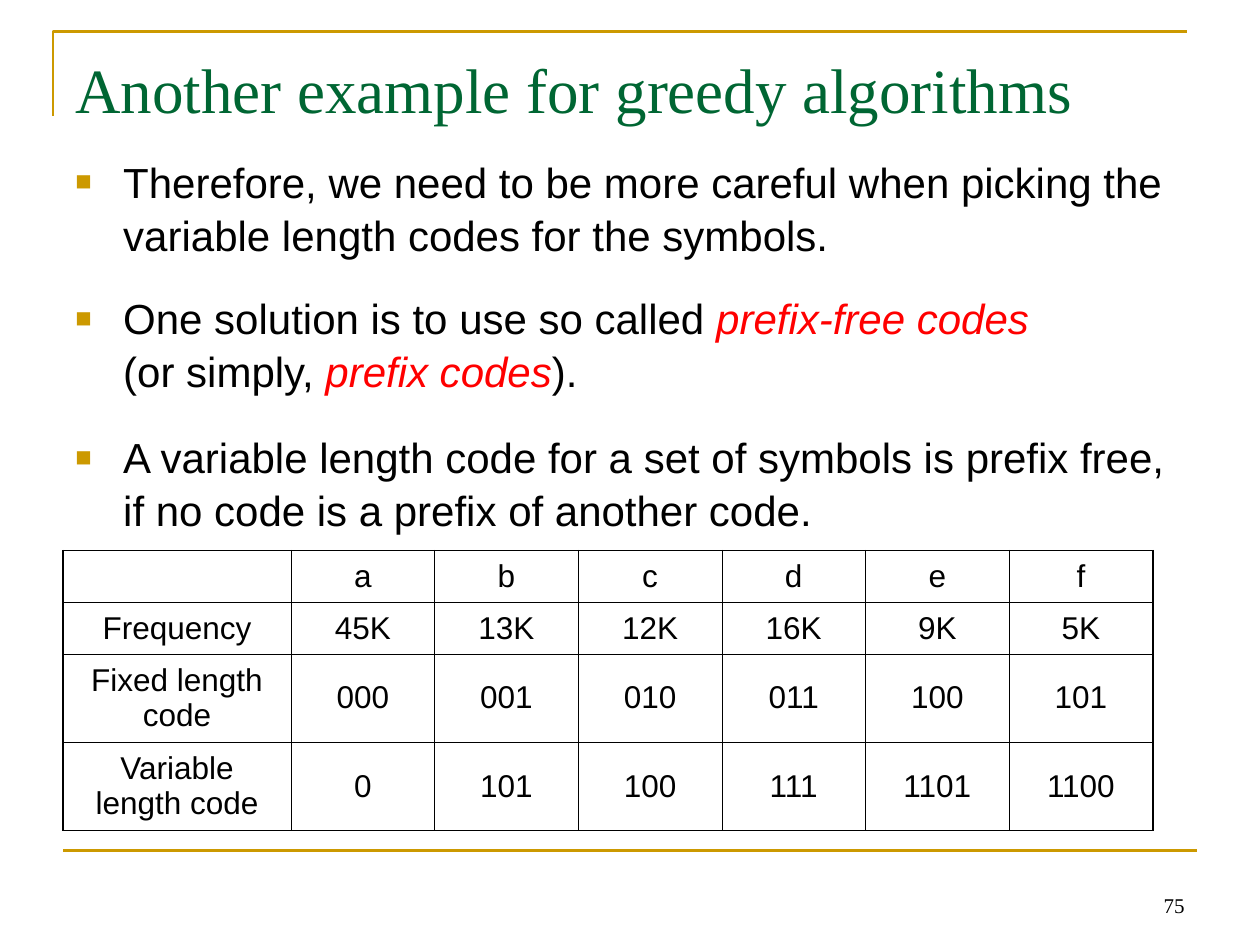
from dataclasses import dataclass
from lxml.etree import SubElement as Sub
from pptx import Presentation
from pptx.dml.color import RGBColor as RGB
from pptx.enum.shapes import MSO_CONNECTOR as Conn
from pptx.enum.text import MSO_ANCHOR as Anchor, PP_ALIGN as Align
from pptx.oxml.ns import qn
from pptx.util import Inches, Pt


@dataclass(frozen=True)
class Theme:
    gold: str = "CC9900"
    green: str = "006633"
    black: str = "000000"
    red: str = "FF0000"
    serif: str = "Times New Roman"
    sans: str = "Arial"
    title: int = 36
    body: int = 24
    cell: int = 18
    num: int = 12
    rule: float = 1.5
    thick: float = 1.08
    thin: float = 0.45


T = Theme()

TITLE = "Another example for greedy algorithms"
PAGE = "75"

# Each bullet: space before in points, then runs; *starred* runs are key terms.
BULLETS = [
    (0, ["Therefore, we need to be more careful when picking the "
         "variable length codes for the symbols."]),
    (17.5, ["One solution is to use so called ", "*prefix-free codes*", "\n",
            "(or simply, ", "*prefix codes*", ")."]),
    (19, ["A variable length code for a set of symbols is prefix free, "
          "if no code is a prefix of another code."]),
]

CODES = [
    ["", "a", "b", "c", "d", "e", "f"],
    ["Frequency", "45K", "13K", "12K", "16K", "9K", "5K"],
    ["Fixed length code", "000", "001", "010", "011", "100", "101"],
    ["Variable length code", "0", "101", "100", "111", "1101", "1100"],
]
WIDTHS = [1.81] + [1.14] * 6
HEIGHTS = [0.41, 0.41, 0.7, 0.7]


def write(para, text, size, font=T.sans, color=T.black, italic=False,
          align=Align.LEFT):
    para.alignment = align
    run = para.add_run()
    run.text = text
    run.font.size = Pt(size)
    run.font.name = font
    run.font.italic = italic
    run.font.color.rgb = RGB.from_string(color)


def add_box(slide, left, top, width, height, anchor=Anchor.TOP):
    box = slide.shapes.add_textbox(*map(Inches, (left, top, width, height)))
    frame = box.text_frame
    frame.word_wrap = True
    frame.vertical_anchor = anchor
    return frame


def add_rules(slide):
    """Draw the corner rule round the title and the line at the foot."""
    pen = slide.shapes.build_freeform(Inches(0.42), Inches(0.92), 1.0)
    pen.add_line_segments([(Inches(0.42), Inches(0.25)),
                           (Inches(9.42), Inches(0.25))], close=False)
    corner = pen.convert_to_shape()
    corner.shadow.inherit = False
    corner.fill.background()
    foot = slide.shapes.add_connector(
        Conn.STRAIGHT, *map(Inches, (0.5, 6.75, 9.5, 6.75)))
    Sub(foot._element.spPr, qn("a:effectLst"))
    for rule in (corner, foot):
        rule.line.color.rgb = RGB.from_string(T.gold)
        rule.line.width = Pt(T.rule)


def add_bullet(para):
    props = para._p.get_or_add_pPr()
    props.set("marL", str(Inches(0.38)))
    props.set("indent", str(-Inches(0.38)))
    Sub(Sub(props, qn("a:buClr")), qn("a:srgbClr"), val=T.gold)
    Sub(props, qn("a:buSzPct"), val="65000")
    Sub(props, qn("a:buFont"), typeface=T.sans)
    Sub(props, qn("a:buChar"), char="■")


def add_body(slide):
    frame = add_box(slide, 0.5, 1.17, 9, 3.15)
    for i, (gap, runs) in enumerate(BULLETS):
        para = frame.add_paragraph() if i else frame.paragraphs[0]
        para.line_spacing = 1.05
        if gap:
            para.space_before = Pt(gap)
        add_bullet(para)
        for text in runs:
            key = text.startswith("*")
            if text == "\n":
                para.add_line_break()
            else:
                write(para, text.strip("*"), T.body, italic=key,
                      color=T.red if key else T.black)


def add_edges(cell, outer):
    """Draw the four borders, thick on the sides named in outer."""
    props = cell._tc.get_or_add_tcPr()
    for i, side in enumerate("LRTB"):
        width = T.thick if side in outer else T.thin
        edge = props.makeelement(qn("a:ln" + side), {"w": str(Pt(width))})
        Sub(Sub(edge, qn("a:solidFill")), qn("a:srgbClr"), val=T.black)
        props.insert(i, edge)


def add_codes(slide):
    rows, cols = len(HEIGHTS), len(WIDTHS)
    table = slide.shapes.add_table(
        rows, cols, Inches(0.5), Inches(4.37),
        Inches(sum(WIDTHS)), Inches(sum(HEIGHTS))).table
    table.first_row = table.horz_banding = False
    for col, width in zip(table.columns, WIDTHS):
        col.width = Inches(width)
    for row, height in zip(table.rows, HEIGHTS):
        row.height = Inches(height)
    for r, line in enumerate(CODES):
        for c, text in enumerate(line):
            cell = table.cell(r, c)
            cell.fill.background()
            cell.vertical_anchor = Anchor.MIDDLE
            sides = {"L": c == 0, "R": c == cols - 1,
                     "T": r == 0, "B": r == rows - 1}
            add_edges(cell, [s for s, on in sides.items() if on])
            if text:
                write(cell.text_frame.paragraphs[0], text, T.cell,
                      align=Align.CENTER)


def main():
    deck = Presentation()
    deck.slide_width, deck.slide_height = Inches(10), Inches(7.5)
    slide = deck.slides.add_slide(deck.slide_layouts[6])
    add_rules(slide)
    page = add_box(slide, 7.17, 6.83, 2.33, 0.5, Anchor.BOTTOM)
    write(page.paragraphs[0], PAGE, T.num, T.serif, align=Align.RIGHT)
    title = add_box(slide, 0.5, 0.35, 9, 0.75)
    write(title.paragraphs[0], TITLE, T.title, T.serif, T.green)
    add_body(slide)
    add_codes(slide)
    deck.save("out.pptx")


if __name__ == "__main__":
    main()
